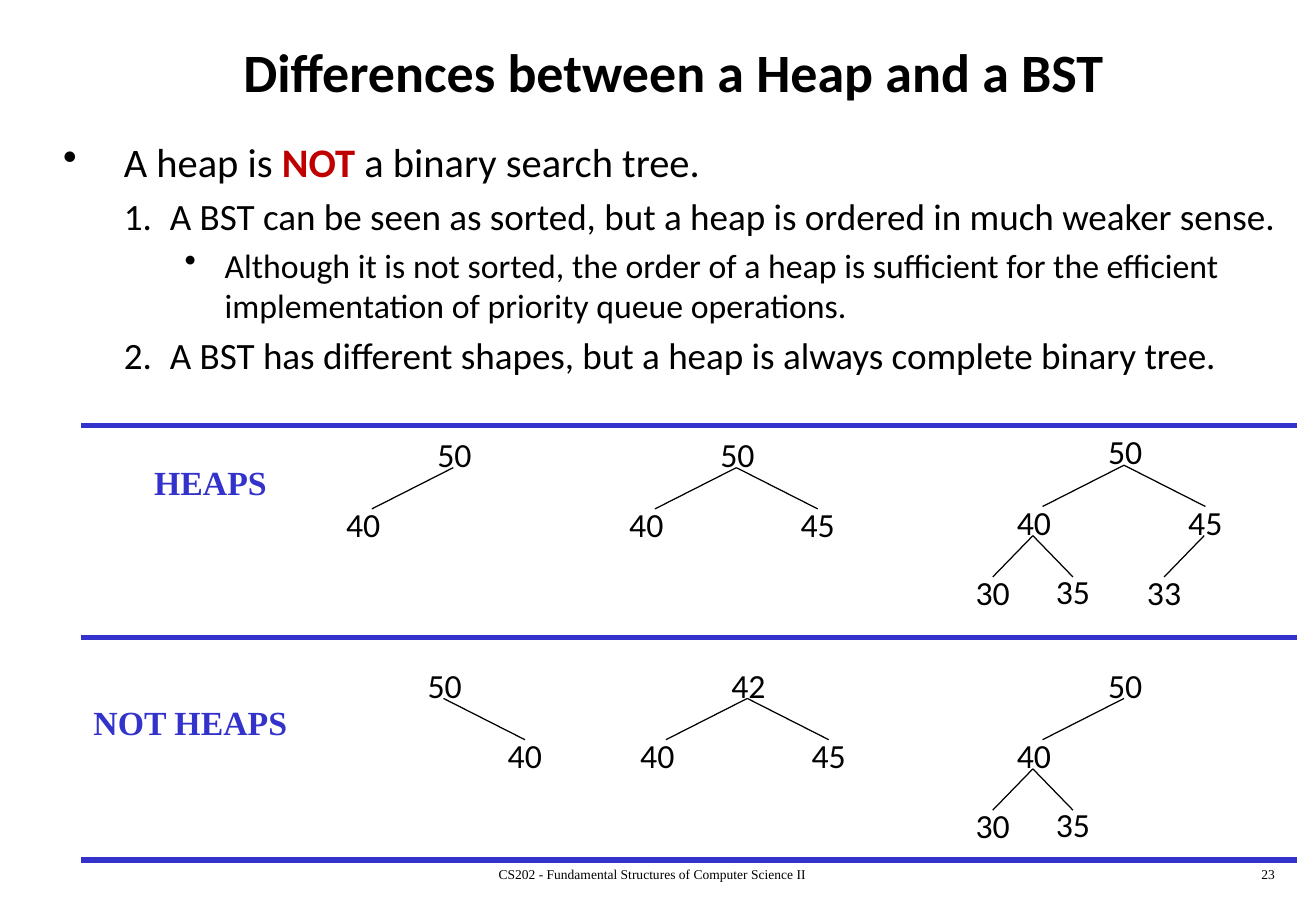
from dataclasses import dataclass
from typing import Optional

from lxml import etree
from pptx import Presentation
from pptx.dml.color import RGBColor
from pptx.enum.shapes import MSO_CONNECTOR
from pptx.enum.text import MSO_ANCHOR, MSO_AUTO_SIZE, PP_ALIGN
from pptx.oxml.ns import qn
from pptx.util import Inches, Pt

STRAIGHT = MSO_CONNECTOR.STRAIGHT
MIDDLE, TOP = MSO_ANCHOR.MIDDLE, MSO_ANCHOR.TOP
LEFT, CENTER, RIGHT = PP_ALIGN.LEFT, PP_ALIGN.CENTER, PP_ALIGN.RIGHT
NO_AUTOFIT = MSO_AUTO_SIZE.NONE
COLORS = {"text": "000000", "accent": "3333CC", "warning": "C00000"}
SANS, SERIF = "Calibri", "Times New Roman"


@dataclass(frozen=True)
class Span:
    text: str
    size: float
    font: str = SANS
    color: str = "text"
    bold: bool = False


@dataclass(frozen=True)
class Point:
    level: int
    spans: tuple[Span, ...]


@dataclass(frozen=True)
class Node:
    value: int
    left: Optional["Node"] = None
    right: Optional["Node"] = None


@dataclass(frozen=True)
class Tree:
    x: float
    y: float
    root: Node


@dataclass(frozen=True)
class Label:
    x: float
    y: float
    width: float
    height: float
    span: Span
    align: PP_ALIGN = LEFT
    wrap: bool = False


@dataclass(frozen=True)
class Branch:
    label_dx: float
    label_dy: float
    edge_dx: float


# Left and right branch geometry at each depth of a tree
BRANCHES = (
    (Branch(-0.75, 0.58, -0.67), Branch(0.66, 0.58, 0.67)),
    (Branch(-0.34, 0.58, -0.33), Branch(0.32, 0.57, 0.33)),
)
EDGE_START_X, EDGE_START_Y, EDGE_DROP = 0.23, 0.33, 0.34

# Left indent, hanging indent and bullet element of each list level
LEVELS = (
    (0.5, 0.5, "a:buChar", {"char": "•"}),
    (0.88, 0.38, "a:buAutoNum", {"type": "arabicPeriod"}),
    (1.33, 0.33, "a:buChar", {"char": "•"}),
)

POINTS = (
    Point(0, (Span("A heap is ", 24), Span("NOT", 24, color="warning", bold=True),
              Span(" a binary search tree.", 24))),
    Point(1, (Span("A BST can be seen as sorted, but a heap is ordered in much weaker sense.", 22),)),
    Point(2, (Span("Although it is not sorted, the order of a heap is sufficient for the "
                   "efficient implementation of priority queue operations.", 20),)),
    Point(1, (Span("A BST has different shapes, but a heap is always complete binary tree.", 22),)),
)

PAIR = (Node(40), Node(45))
FULL_40 = Node(40, Node(30), Node(35))
TREES = (
    Tree(3.5, 3.52, Node(50, Node(40))),
    Tree(5.83, 3.52, Node(50, *PAIR)),
    Tree(9.02, 3.5, Node(50, FULL_40, Node(45, Node(33)))),
    Tree(3.42, 5.42, Node(50, right=Node(40))),
    Tree(5.92, 5.42, Node(42, *PAIR)),
    Tree(9.02, 5.42, Node(50, FULL_40)),
)

LABELS = (
    Label(1.17, 3.75, 1.14, 0.44, Span("HEAPS", 20, SERIF, "accent", True)),
    Label(0.67, 5.73, 1.81, 0.44, Span("NOT HEAPS", 20, SERIF, "accent", True)),
    Label(3.34, 7.08, 4.06, 0.25,
          Span("CS202 - Fundamental Structures of Computer Science II", 8, SERIF), CENTER, True),
    Label(8.33, 7.08, 2.26, 0.25, Span("23", 8, SERIF), RIGHT, True),
)
RULE_HEIGHTS = (3.5, 5.25, 7.08)


def add_span(para, span: Span) -> None:
    run = para.add_run()
    run.text = span.text
    run.font.name = span.font
    run.font.size = Pt(span.size)
    run.font.bold = span.bold
    run.font.color.rgb = RGBColor.from_string(COLORS[span.color])


def add_label(shapes, label: Label) -> None:
    box = shapes.add_textbox(Inches(label.x), Inches(label.y),
                             Inches(label.width), Inches(label.height))
    box.text_frame.word_wrap = label.wrap
    para = box.text_frame.paragraphs[0]
    para.alignment = label.align
    add_span(para, label.span)


def add_line(shapes, x1: float, y1: float, x2: float, y2: float,
             color: str, width: float) -> None:
    line = shapes.add_connector(STRAIGHT, Inches(x1), Inches(y1), Inches(x2), Inches(y2))
    line.line.color.rgb = RGBColor.from_string(COLORS[color])
    line.line.width = Pt(width)
    etree.SubElement(line._element.spPr, qn("a:effectLst"))


def add_node(shapes, node: Node, x: float, y: float, depth: int = 0) -> None:
    add_label(shapes, Label(x, y, 0.48, 0.44, Span(str(node.value), 20)))
    start_x, start_y = x + EDGE_START_X, y + EDGE_START_Y
    for side, child in enumerate((node.left, node.right)):
        if child:
            branch = BRANCHES[depth][side]
            add_line(shapes, start_x, start_y, start_x + branch.edge_dx,
                     start_y + EDGE_DROP, "text", 0.75)
            add_node(shapes, child, x + branch.label_dx, y + branch.label_dy, depth + 1)


def add_point(para, point: Point) -> None:
    indent, hanging, bullet, attributes = LEVELS[point.level]
    para.level = point.level
    para.space_before = Pt(0.2 * point.spans[0].size)
    properties = para._p.get_or_add_pPr()
    properties.set("marL", str(Inches(indent)))
    properties.set("indent", str(-Inches(hanging)))
    etree.SubElement(properties, qn(bullet), attributes)
    for span in point.spans:
        add_span(para, span)


deck = Presentation()
deck.slide_width, deck.slide_height = Inches(10.83), Inches(7.5)
page = deck.slides.add_slide(deck.slide_layouts[5])

# Title
title = page.shapes.title
title.left, title.top = Inches(0.42), Inches(0.17)
title.width, title.height = Inches(10.25), Inches(0.83)
title.text_frame.auto_size = NO_AUTOFIT
title.text_frame.vertical_anchor = MIDDLE
title_para = title.text_frame.paragraphs[0]
title_para.alignment = CENTER
add_span(title_para, Span("Differences between a Heap and a BST", 32, bold=True))

# Points
body = page.shapes.add_textbox(Inches(0.42), Inches(1.08), Inches(10.42), Inches(5.83))
frame = body.text_frame
frame.word_wrap = True
frame.vertical_anchor = TOP
for index, point in enumerate(POINTS):
    add_point(frame.add_paragraph() if index else frame.paragraphs[0], point)

# Row headings, footer and page number
for label in LABELS:
    add_label(page.shapes, label)

# Trees, one group each
for tree in TREES:
    add_node(page.shapes.add_group_shape().shapes, tree.root, tree.x, tree.y)

# Row separators
for height in RULE_HEIGHTS:
    add_line(page.shapes, 0.67, height, 10.67, height, "accent", 3)

deck.save("out.pptx")
